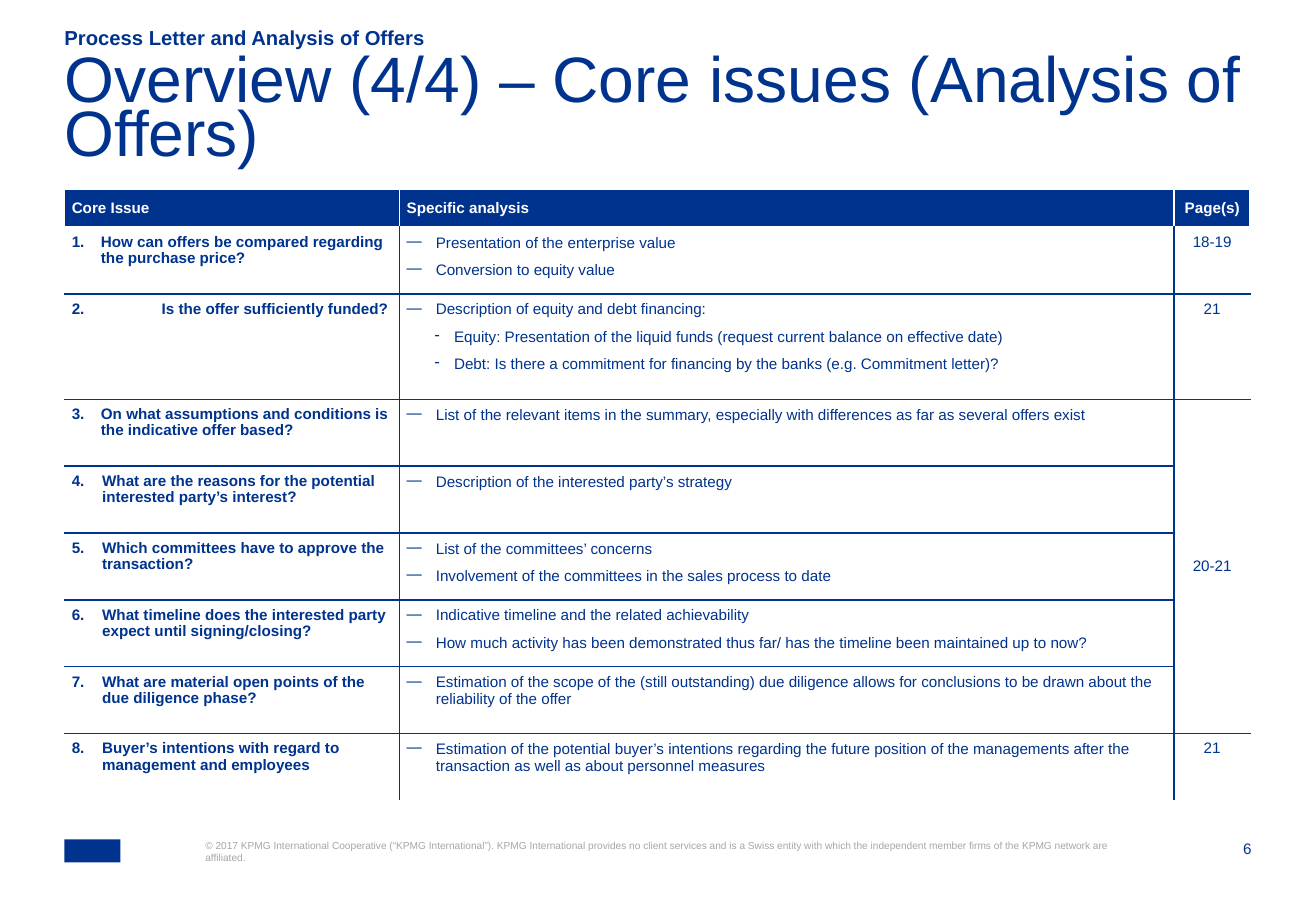
import pptx
import pptx.util
from pptx.dml.color import RGBColor
from pptx.enum.shapes import MSO_SHAPE
from pptx.enum.text import MSO_ANCHOR, PP_ALIGN
from pptx.oxml.ns import qn
from lxml import etree

SECTION = "Process Letter and Analysis of Offers"
TITLE = "Overview (4/4) – Core issues (Analysis of Offers)"
COPYRIGHT = (
    "© 2017 KPMG International Cooperative (“KPMG International”). KPMG International "
    "provides no client services and is a Swiss entity with which the independent "
    "member firms of the KPMG network are affiliated.")
PAGE = "6"

HEADER = ("Core Issue", "Specific analysis", "Page(s)")
# Core issue, analysis points ("- " marks the second level), pages
ISSUES = [
    ("How can offers be compared regarding the purchase price?",
     ["Presentation of the enterprise value", "Conversion to equity value"], "18-19"),
    ("2.\t\tIs the offer sufficiently funded?",
     ["Description of equity and debt financing:",
      "- Equity: Presentation of the liquid funds (request current balance on effective date)",
      "- Debt: Is there a commitment for financing by the banks (e.g. Commitment letter)?"],
     "21"),
    ("On what assumptions and conditions is the indicative offer based?",
     ["List of the relevant items in the summary, especially with differences as far as "
      "several offers exist"], "20-21"),
    ("What are the reasons for the potential interested party’s interest?",
     ["Description of the interested party’s strategy"], None),
    ("Which committees have to approve the transaction?",
     ["List of the committees’ concerns",
      "Involvement of the committees in the sales process to date"], None),
    ("What timeline does the interested party expect until signing/closing?",
     ["Indicative timeline and the related achievability",
      "How much activity has been demonstrated thus far/ has the timeline been "
      "maintained up to now?"], None),
    ("What are material open points of the due diligence phase?",
     ["Estimation of the scope of the (still outstanding) due diligence allows for "
      "conclusions to be drawn about the reliability of the offer"], None),
    ("Buyer’s intentions with regard to management and employees",
     ["Estimation of the potential buyer’s intentions regarding the future position of "
      "the managements after the transaction as well as about personnel measures"], "21"),
]
SHARED_PAGES = (3, 7)  # first and last table row sharing one page reference

THEME = {
    "font": "Arial", "blue": "00338D", "white": "FFFFFF", "grey": "A6A6A6",
    "title": 38, "section": 12, "body": 9, "small": 6,
}

# Lengths in percent of the slide's width and height
WIDTH, HEIGHT = 10.83, 7.5
LEFT = 4.9
FOOT = 92.13
BOXES = {
    "page": (91.14, FOOT, 3.97, 2.13),
    "logo": (LEFT, FOOT, 4.25, 2.53),
    "copyright": (15.6, FOOT, 69.16, 5.47),
    "section": (LEFT, 2.93, 86.8, 2.53),
    "title": (LEFT, 6.53, 90.1, 10.53),
}
TABLE_TOP = 20.8
COLUMNS = (25.45, 58.88, 5.77)
HEADER_ROW, ISSUE_ROW, TALL_ROW = 4.13, 7.34, 11.58
TALL = 2
INSET = 0.06
MARGINS = ("margin_left", "margin_top", "margin_right", "margin_bottom")


def across(share):
    return pptx.util.Inches(WIDTH * share / 100)


def down(share):
    return pptx.util.Inches(HEIGHT * share / 100)


def place(box):
    x, y, w, h = BOXES[box]
    return across(x), down(y), across(w), down(h)


def assign(obj, **values):
    for name, value in values.items():
        setattr(obj, name, value)


def write(p, text, size="body", color="blue", bold=False, **layout):
    assign(p, **layout)
    r = p.add_run()
    r.text = text
    assign(r.font, name=THEME["font"], size=pptx.util.Pt(THEME[size]), bold=bold)
    r.font.color.rgb = RGBColor.from_string(THEME[color])


def add_text(s, box, text, anchor=MSO_ANCHOR.TOP, **style):
    tf = s.shapes.add_textbox(*place(box)).text_frame
    assign(tf, word_wrap=True, vertical_anchor=anchor, **dict.fromkeys(MARGINS, 0))
    write(tf.paragraphs[0], text, **style)


def add_color(parent, tag, color):
    holder = etree.SubElement(parent, qn(tag))
    etree.SubElement(holder, qn("a:srgbClr"), val=THEME[color])


def indent(p, left, hanging, tag=None, tab=None, **marker):
    """Hang the paragraph, with an optional bullet or number and tab stop."""
    pPr = p._p.get_or_add_pPr()
    pPr.set("marL", str(pptx.util.Inches(left)))
    pPr.set("indent", str(-pptx.util.Inches(hanging)))
    if tag:
        add_color(pPr, "a:buClr", "blue")
        etree.SubElement(pPr, qn(tag), **marker)
    if tab:
        tabs = etree.SubElement(pPr, qn("a:tabLst"))
        etree.SubElement(tabs, qn("a:tab"), pos=str(pptx.util.Inches(tab)), algn="l")


def format_cell(cell, row, col):
    header, last = row == 0, row == len(ISSUES)
    edges = {
        "L": "white" if header or col == 0 else "blue",
        "R": "white" if header or col == 2 else "blue",
        "T": "white" if row < 2 else "blue",
        "B": "white" if header or last else "blue",
    }
    tcPr = cell._tc.get_or_add_tcPr()
    for side, color in edges.items():
        line = etree.SubElement(tcPr, qn("a:ln" + side), w=str(pptx.util.Pt(1)))
        add_color(line, "a:solidFill", color)
    if header:
        cell.fill.solid()
        cell.fill.fore_color.rgb = RGBColor.from_string(THEME["blue"])
    else:
        cell.fill.background()
    middle = header or (col == 2 and row == SHARED_PAGES[0])
    assign(cell, vertical_anchor=MSO_ANCHOR.MIDDLE if middle else MSO_ANCHOR.TOP,
           **dict.fromkeys(MARGINS, pptx.util.Inches(INSET)))


def write_issue(p, number, text):
    hang = 0.24 if number < 4 else 0.25
    if text.startswith(f"{number}."):
        indent(p, hang, hang, tab=0.19)
    else:
        indent(p, hang, hang, "a:buAutoNum", tab=0.19,
               type="arabicPeriod", startAt=str(number))
    write(p, text, bold=True, line_spacing=0.95, space_after=pptx.util.Pt(2))


def write_points(tf, points):
    for i, point in enumerate(points):
        p = tf.add_paragraph() if i else tf.paragraphs[0]
        if point.startswith("- "):
            indent(p, 0.39, 0.16, "a:buChar", char="-")
        else:
            indent(p, 0.24, 0.24, "a:buChar", char="—")
        write(p, point.removeprefix("- "), space_after=pptx.util.Pt(6))


def add_issue_table(s):
    heights = [HEADER_ROW] + [ISSUE_ROW] * len(ISSUES)
    heights[TALL] = TALL_ROW
    table = s.shapes.add_table(
        len(heights), len(COLUMNS), across(LEFT), down(TABLE_TOP),
        across(sum(COLUMNS)), down(sum(heights))).table
    assign(table, first_row=False, horz_banding=False)
    for column, share in zip(table.columns, COLUMNS):
        column.width = across(share)
    for row, share in enumerate(heights):
        table.rows[row].height = down(share)
        for col in range(len(COLUMNS)):
            format_cell(table.cell(row, col), row, col)
    first, last = SHARED_PAGES
    table.cell(first, 2).merge(table.cell(last, 2))

    aligns = (PP_ALIGN.LEFT, PP_ALIGN.LEFT, PP_ALIGN.CENTER)
    for col, (text, align) in enumerate(zip(HEADER, aligns)):
        write(table.cell(0, col).text_frame.paragraphs[0], text, color="white",
              bold=True, alignment=align, line_spacing=0.95)
    for row, (issue, points, pages) in enumerate(ISSUES, 1):
        issue_tf, points_tf, pages_tf = (table.cell(row, c).text_frame for c in range(3))
        write_issue(issue_tf.paragraphs[0], row, issue)
        write_points(points_tf, points)
        if pages:
            write(pages_tf.paragraphs[0], pages, alignment=PP_ALIGN.CENTER,
                  line_spacing=0.95, space_after=pptx.util.Pt(2))


def main():
    prs = pptx.Presentation()
    assign(prs, slide_width=across(100), slide_height=down(100))
    s = prs.slides.add_slide(prs.slide_layouts[6])
    add_text(s, "page", PAGE, alignment=PP_ALIGN.RIGHT)
    sp = s.shapes.add_shape(MSO_SHAPE.RECTANGLE, *place("logo"))
    sp.shadow.inherit = False
    sp.fill.solid()
    sp.fill.fore_color.rgb = RGBColor.from_string(THEME["blue"])
    sp.line.fill.background()
    add_text(s, "copyright", COPYRIGHT, size="small", color="grey")
    add_text(s, "section", SECTION, MSO_ANCHOR.BOTTOM, size="section", bold=True)
    add_text(s, "title", TITLE, size="title", line_spacing=0.7)
    add_issue_table(s)
    prs.save("out.pptx")


if __name__ == "__main__":
    main()
